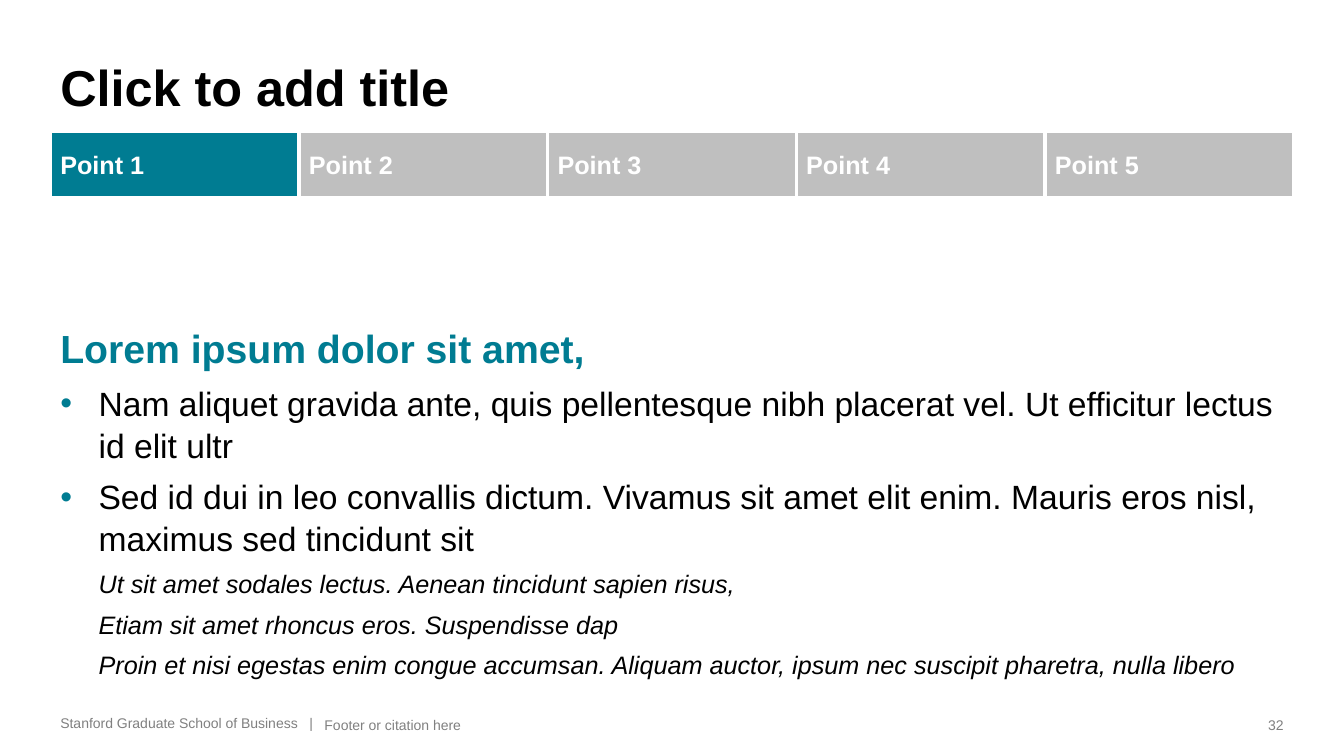
"""Build a slide with a five-step tracker above a text outline."""
from dataclasses import dataclass

from lxml import etree
from pptx import Presentation
from pptx import util as u
from pptx.dml import color
from pptx.enum import shapes, text
from pptx.oxml import ns


@dataclass(frozen=True)
class Theme:
    """Colours, type sizes and font of the slide."""
    face: str = "Arial"
    teal: str = "007C92"
    pale: str = "BFBFBF"
    gray: str = "808080"
    white: str = "FFFFFF"
    black: str = "000000"
    title: int = 36
    head: int = 28
    body: int = 24
    sub: int = 18
    foot: int = 10


class Deck:
    """Hold the theme and the current slide."""

    def __init__(self, theme):
        """Open a wide deck with one blank slide."""
        self.theme = theme
        self.prs = Presentation()
        self.prs.slide_width = u.Inches(13.33)
        self.prs.slide_height = u.Inches(7.5)
        self.slide = self.prs.slides.add_slide(self.prs.slide_layouts[6])

    def put(self, para, words, size, tint, **form):
        """Write a run of words into a paragraph."""
        run = para.add_run()
        run.text = words
        form.update(name=self.theme.face, size=u.Pt(size))
        for key, val in form.items():
            setattr(run.font, key, val)
        run.font.color.rgb = color.RGBColor.from_string(tint)

    def box(self, area, anchor="TOP", wrap=True):
        """Add an empty text box and return its frame."""
        frame = self.slide.shapes.add_textbox(*map(u.Inches, area)).text_frame
        frame.word_wrap = wrap
        frame.vertical_anchor = text.MSO_ANCHOR[anchor]
        return frame

    def line(self, words, area, size, tint, wrap=True, align="LEFT", **form):
        """Add a text box with one line set at its foot."""
        para = self.box(area, "BOTTOM", wrap).paragraphs[0]
        para.alignment = text.PP_ALIGN[align]
        self.put(para, words, size, tint, **form)

    def step(self, words, area, fill):
        """Add one bar of the tracker."""
        look = self.theme
        bar = self.slide.shapes.add_shape(
            shapes.MSO_SHAPE.RECTANGLE, *map(u.Inches, area))
        bar.shadow.inherit = False
        bar.fill.solid()
        bar.fill.fore_color.rgb = color.RGBColor.from_string(fill)
        bar.line.color.rgb = color.RGBColor.from_string(look.white)
        bar.line.width = u.Pt(2.25)
        frame = bar.text_frame
        frame.vertical_anchor = text.MSO_ANCHOR.MIDDLE
        para = frame.paragraphs[0]
        para.alignment = text.PP_ALIGN.LEFT
        self.put(para, words, look.sub, look.white, bold=True)

    def dot(self, para):
        """Give a paragraph a teal bullet."""
        props = para._p.get_or_add_pPr()
        tint = etree.SubElement(props, ns.qn("a:buClr"))
        etree.SubElement(tint, ns.qn("a:srgbClr"), val=self.theme.teal)
        etree.SubElement(props, ns.qn("a:buFont"), typeface=self.theme.face)
        etree.SubElement(props, ns.qn("a:buChar"), char="•")

    def list(self, head, items, area):
        """Add a heading with bullets and notes below it."""
        look = self.theme
        frame = self.box(area)
        para = frame.paragraphs[0]
        para.line_spacing = 1.04
        self.put(para, head, look.head, look.teal, bold=True)
        for level, words in items:
            para = frame.add_paragraph()
            para.level = level
            para.line_spacing = 1.04
            para.space_before = u.Pt(7 if level == 1 else 6.4)
            props = para._p.get_or_add_pPr()
            props.set("marL", str(u.Inches(0.38)))
            props.set("indent", str(u.Inches(-0.38 if level == 1 else 0)))
            if level == 1:
                self.dot(para)
            size = look.body if level == 1 else look.sub
            self.put(para, words, size, look.black, italic=level == 2)


def main():
    """Build and save the slide."""
    look = Theme()
    deck = Deck(look)
    deck.line("Stanford Graduate School of Business\u00a0\u00a0 |".replace("\u00a0\u00a0 ", "   "),
              (0.5, 7.03, 2.72, 0.27), look.foot, look.gray, wrap=False)
    for num in range(5):
        deck.step(f"Point {num + 1}", (0.5 + num * 2.466, 1.3, 2.47, 0.66),
                  look.pale if num else look.teal)
    deck.line("Click to add title", (0.5, 0.5, 12.33, 0.71),
              look.title, look.black, bold=True)
    items = [
        (1, "Nam aliquet gravida ante, quis pellentesque nibh placerat vel. "
            "Ut efficitur lectus id elit ultr"),
        (1, "Sed id dui in leo convallis dictum. Vivamus sit amet elit enim. "
            "Mauris eros nisl, maximus sed tincidunt sit"),
        (2, "Ut sit amet sodales lectus. Aenean tincidunt sapien risus,"),
        (2, "Etiam sit amet rhoncus eros. Suspendisse dap"),
        (2, "Proin et nisi egestas enim congue accumsan. "
            "Aliquam auctor, ipsum nec suscipit pharetra, nulla libero"),
    ]
    deck.list("Lorem ipsum dolor sit amet,", items, (0.5, 3.15, 12.33, 3.73))
    deck.line("Footer or citation here", (3.12, 7.03, 9.17, 0.29),
              look.foot, look.gray)
    deck.line("32", (12.44, 7.03, 0.39, 0.29), look.foot, look.gray,
              wrap=False, align="RIGHT")
    deck.prs.save("out.pptx")


if __name__ == "__main__":
    main()
